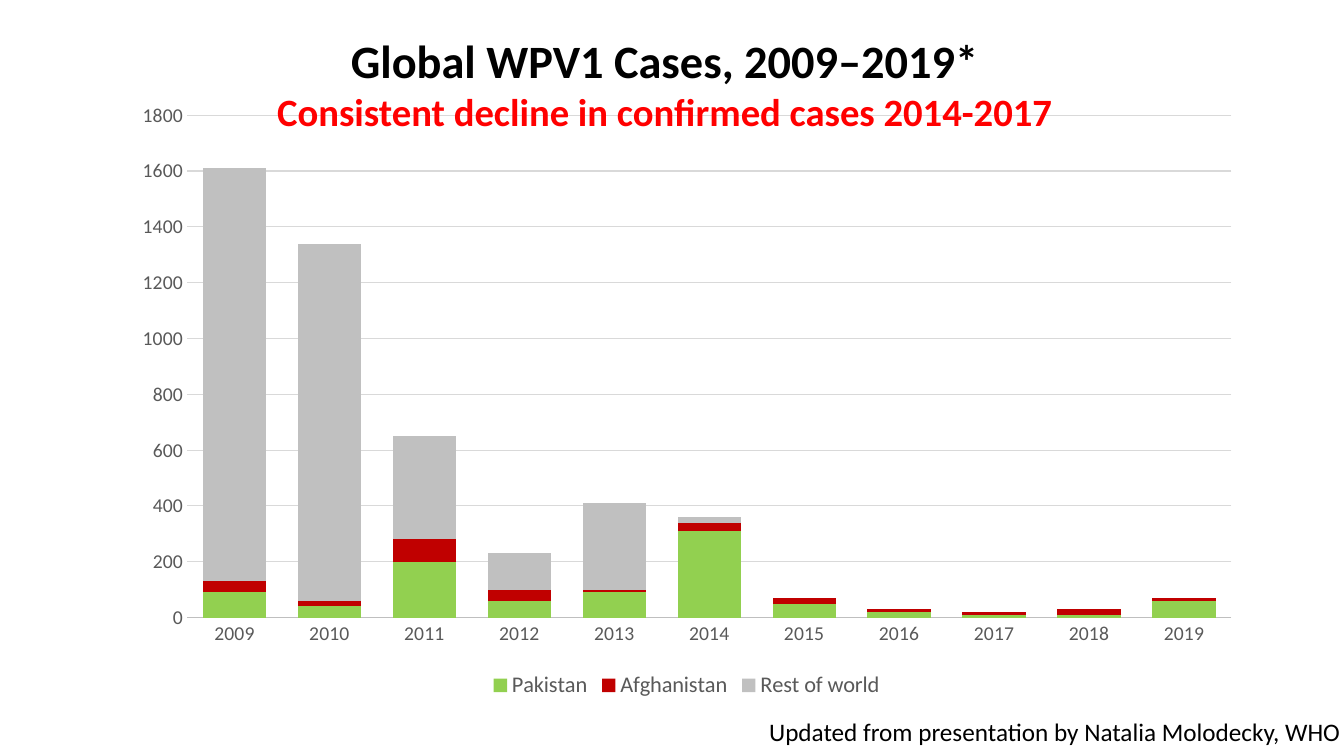
from lxml import etree
from pptx import Presentation
from pptx.chart.data import CategoryChartData
from pptx.dml.color import RGBColor
from pptx.enum.chart import XL_CHART_TYPE as ChartType, XL_LEGEND_POSITION as LegendPosition
from pptx.enum.chart import XL_TICK_MARK as TickMark
from pptx.enum.shapes import MSO_SHAPE as Shape
from pptx.enum.text import MSO_AUTO_SIZE as AutoSize, PP_ALIGN as Align
from pptx.oxml.ns import qn
from pptx.util import Inches, Pt

FONT = "Calibri"
GREY = "595959"
YEARS = [str(year) for year in range(2009, 2020)]
CASES = {
    "Pakistan": ("92D050", [90, 40, 200, 60, 90, 310, 50, 20, 10, 10, 60]),
    "Afghanistan": ("C00000", [40, 20, 80, 40, 10, 30, 20, 10, 10, 20, 10]),
    "Rest of world": ("C0C0C0", [1480, 1280, 370, 130, 310, 20, 0, 0, 0, 0, 0]),
}


def color(hex_code):
    return RGBColor.from_string(hex_code)


def style_font(font, size, hex_code, bold=False):
    font.name = FONT
    font.size = Pt(size)
    font.bold = bold
    font.color.rgb = color(hex_code)


def style_line(line, hex_code, width=0.75):
    line.color.rgb = color(hex_code)
    line.width = Pt(width)


def write(paragraph, text, size, hex_code="000000", bold=False, align=Align.LEFT):
    paragraph.alignment = align
    run = paragraph.add_run()
    run.text = text
    style_font(run.font, size, hex_code, bold)


def add_text_frame(slide, box, wrap):
    frame = slide.shapes.add_textbox(*map(Inches, box)).text_frame
    frame.word_wrap = wrap
    frame.auto_size = AutoSize.SHAPE_TO_FIT_TEXT
    return frame


def add_backdrop(slide, box):
    backdrop = slide.shapes.add_shape(Shape.RECTANGLE, *map(Inches, box))
    backdrop.shadow.inherit = False
    backdrop.fill.solid()
    backdrop.fill.fore_color.rgb = color("FFFFFF")
    style_line(backdrop.line, "000000", 1)


def set_plot_area(chart, **fractions):
    plot_area = chart._chartSpace.chart.plotArea
    for old in plot_area.findall(qn("c:layout")):
        plot_area.remove(old)
    layout = etree.Element(qn("c:layout"))
    manual = etree.SubElement(layout, qn("c:manualLayout"))
    settings = {"layoutTarget": "inner", "xMode": "edge", "yMode": "edge", **fractions}
    for name, value in settings.items():
        etree.SubElement(manual, qn(f"c:{name}")).set("val", str(value))
    plot_area.insert(0, layout)


def add_case_chart(slide, box):
    data = CategoryChartData()
    data.categories = YEARS
    for country, (_, counts) in CASES.items():
        data.add_series(country, counts)
    chart = slide.shapes.add_chart(ChartType.COLUMN_STACKED, *map(Inches, box), data).chart
    chart.has_title = False
    style_font(chart.font, 10, "000000")
    set_plot_area(chart, x=0.06, y=0.04, w=0.92, h=0.82)

    columns = chart.plots[0]
    columns.gap_width = 50
    columns.overlap = 100
    columns.vary_by_categories = False
    for country in columns.series:
        country.format.fill.solid()
        country.format.fill.fore_color.rgb = color(CASES[country.name][0])

    years, counts = chart.category_axis, chart.value_axis
    for axis in (years, counts):
        axis.major_tick_mark = axis.minor_tick_mark = TickMark.NONE
        style_font(axis.tick_labels.font, 14, GREY)
    style_line(years.format.line, "BFBFBF")
    counts.format.line.fill.background()
    counts.minimum_scale, counts.maximum_scale, counts.major_unit = 0, 1800, 200
    style_line(counts.major_gridlines.format.line, "D9D9D9")

    chart.has_legend = True
    chart.legend.position = LegendPosition.BOTTOM
    chart.legend.include_in_layout = False
    style_font(chart.legend.font, 16, GREY)


def add_heading(slide, box):
    heading = add_text_frame(slide, box, wrap=True)
    write(heading.paragraphs[0], "Global WPV1 Cases, 2009–2019*", 33.1,
          bold=True, align=Align.CENTER)
    write(heading.add_paragraph(), "Consistent decline in confirmed cases 2014-2017", 27.6,
          hex_code="FF0000", bold=True, align=Align.CENTER)


def add_credit(slide, box):
    credit = add_text_frame(slide, box, wrap=False)
    write(credit.paragraphs[0], "Updated from presentation by Natalia Molodecky, WHO", 18)


def main():
    deck = Presentation()
    deck.slide_width, deck.slide_height = Inches(13.33), Inches(7.5)
    slide = deck.slides.add_slide(deck.slide_layouts[6])
    add_backdrop(slide, (-0.38, -0.14, 14.19, 7.85))
    add_case_chart(slide, (1.18, 0.9, 11.26, 6.08))
    add_heading(slide, (0.68, 0.27, 11.83, 1.11))
    add_credit(slide, (7.53, 7.06, 5.93, 0.4))
    deck.save("out.pptx")


if __name__ == "__main__":
    main()
